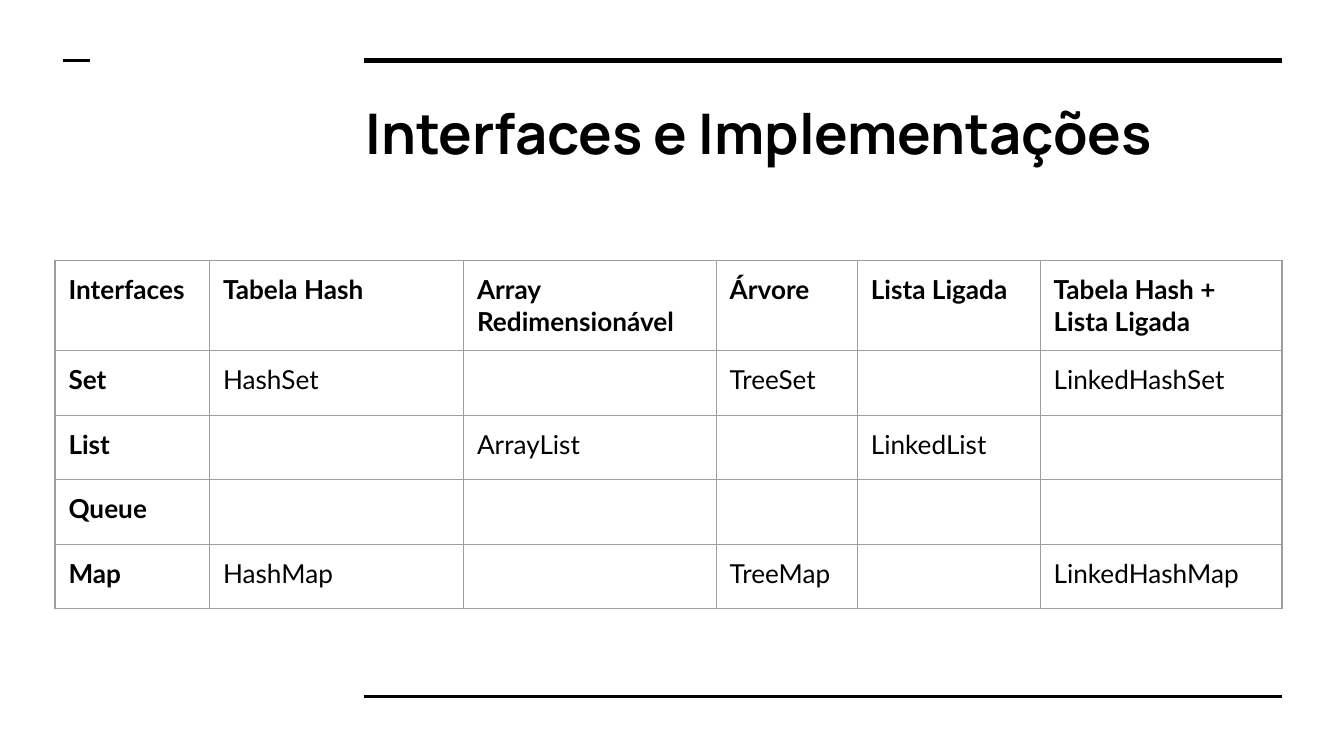
from dataclasses import dataclass

from lxml.etree import SubElement
from pptx import Presentation
from pptx.dml.color import RGBColor
from pptx.enum.shapes import MSO_CONNECTOR
from pptx.oxml.ns import qn
from pptx.slide import Slide
from pptx.table import _Cell
from pptx.text.text import _Paragraph
from pptx.util import Inches, Pt


@dataclass(frozen=True)
class Theme:
    ink: str = "000000"
    grid: str = "9E9E9E"
    head: str = "Manrope"
    body: str = "Lato"
    title: float = 30
    text: float = 14
    border: float = 0.75
    pad: float = 0.1


@dataclass(frozen=True)
class Rule:
    left: float
    right: float
    y: float
    width: float


THEME = Theme()
WIDTH = 10
HEIGHT = WIDTH * 9 / 16
RULES = [
    Rule(2.71, 9.54, 0.45, 3),
    Rule(2.71, 9.54, 5.18, 1.5),
    Rule(0.47, 0.67, 0.45, 1.5),
]
COLS = [1.15, 1.89, 1.88, 1.05, 1.36, 1.8]
HEAD_ROW, BODY_ROW = 0.67, 0.48
ROWS = [
    ["Interfaces", "Tabela Hash", "Array Redimensionável", "Árvore",
     "Lista Ligada", "Tabela Hash + Lista Ligada"],
    ["Set", "HashSet", "", "TreeSet", "", "LinkedHashSet"],
    ["List", "", "ArrayList", "", "LinkedList", ""],
    ["Queue", "", "", "", "", ""],
    ["Map", "HashMap", "", "TreeMap", "", "LinkedHashMap"],
]


def style(para: _Paragraph, face: str, size: float, bold: bool) -> None:
    font = para.font
    font.name = face
    font.size = Pt(size)
    font.bold = bold
    font.color.rgb = RGBColor.from_string(THEME.ink)


def draw_rule(slide: Slide, rule: Rule) -> None:
    line = slide.shapes.add_connector(
        MSO_CONNECTOR.STRAIGHT, Inches(rule.left), Inches(rule.y),
        Inches(rule.right), Inches(rule.y))
    line.line.color.rgb = RGBColor.from_string(THEME.ink)
    line.line.width = Pt(rule.width)
    SubElement(line._element.spPr, qn("a:effectLst"))


def draw_title(slide: Slide, text: str) -> None:
    box = slide.shapes.add_textbox(
        Inches(2.62), Inches(0.63), Inches(6.91), Inches(0.69))
    frame = box.text_frame
    frame.word_wrap = True
    frame.margin_left = frame.margin_right = Inches(THEME.pad)
    frame.margin_top = frame.margin_bottom = Inches(THEME.pad)
    frame.text = text
    style(frame.paragraphs[0], THEME.head, THEME.title, True)


def set_border(cell: _Cell) -> None:
    props = cell._tc.get_or_add_tcPr()
    for side in ("lnL", "lnR", "lnT", "lnB"):
        line = SubElement(props, qn(f"a:{side}"), w=str(Pt(THEME.border)))
        fill = SubElement(line, qn("a:solidFill"))
        SubElement(fill, qn("a:srgbClr"), val=THEME.grid)


def fill_cell(cell: _Cell, text: str, bold: bool) -> None:
    cell.margin_left = cell.margin_right = Inches(THEME.pad)
    cell.margin_top = cell.margin_bottom = Inches(THEME.pad)
    cell.text = text
    style(cell.text_frame.paragraphs[0], THEME.body, THEME.text, bold)
    set_border(cell)
    cell.fill.background()


def draw_table(slide: Slide) -> None:
    heights = [HEAD_ROW] + [BODY_ROW] * (len(ROWS) - 1)
    table = slide.shapes.add_table(
        len(ROWS), len(COLS), Inches(0.41), Inches(1.94),
        Inches(sum(COLS)), Inches(sum(heights))).table
    table.first_row = table.horz_banding = False
    for col, width in zip(table.columns, COLS):
        col.width = Inches(width)
    for row, height in zip(table.rows, heights):
        row.height = Inches(height)
    for r, texts in enumerate(ROWS):
        for c, text in enumerate(texts):
            fill_cell(table.cell(r, c), text, r == 0 or c == 0)


def main() -> None:
    deck = Presentation()
    deck.slide_width, deck.slide_height = Inches(WIDTH), Inches(HEIGHT)
    slide = deck.slides.add_slide(deck.slide_layouts[6])
    for rule in RULES:
        draw_rule(slide, rule)
    draw_title(slide, "Interfaces e Implementações")
    draw_table(slide)
    deck.save("out.pptx")


if __name__ == "__main__":
    main()
